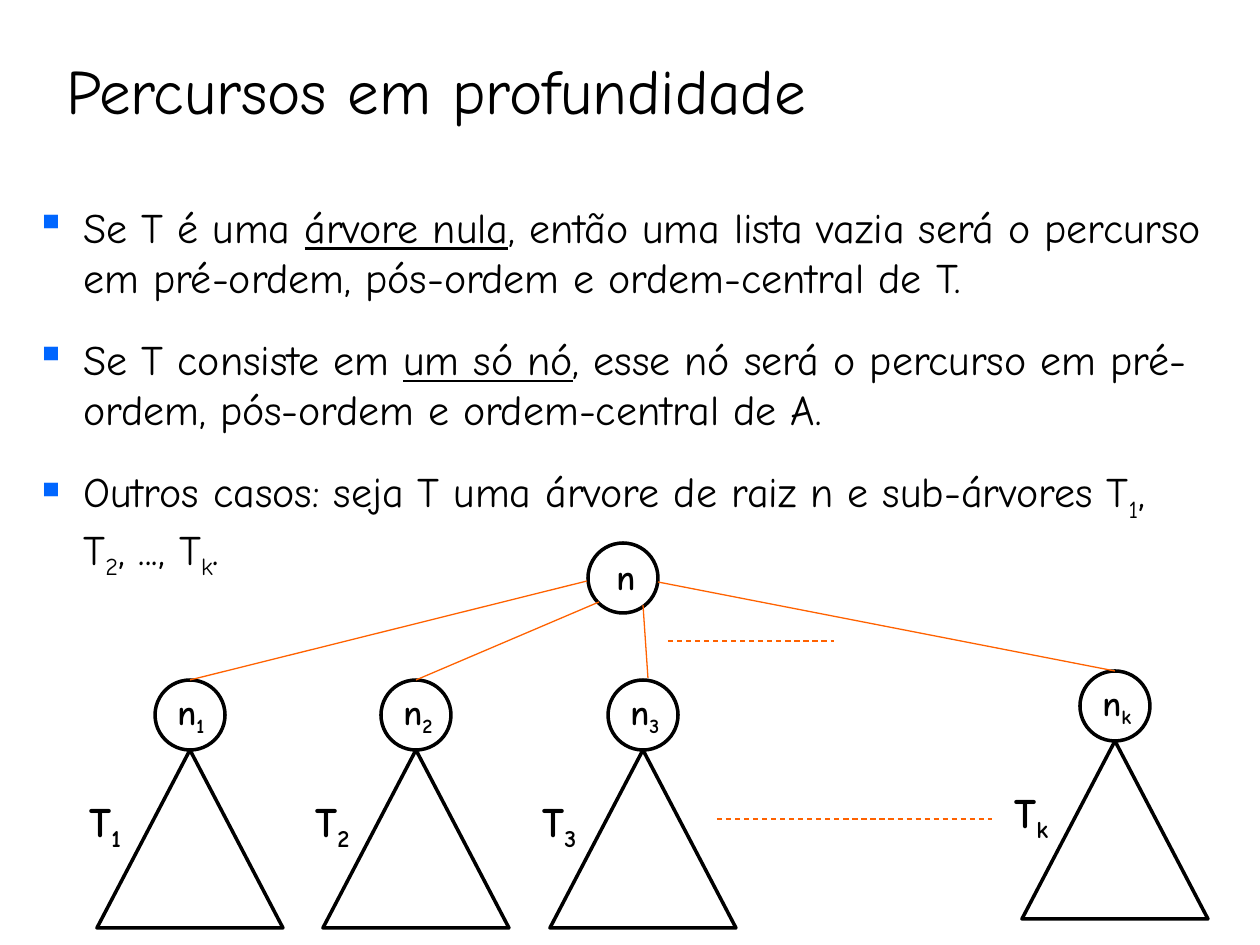
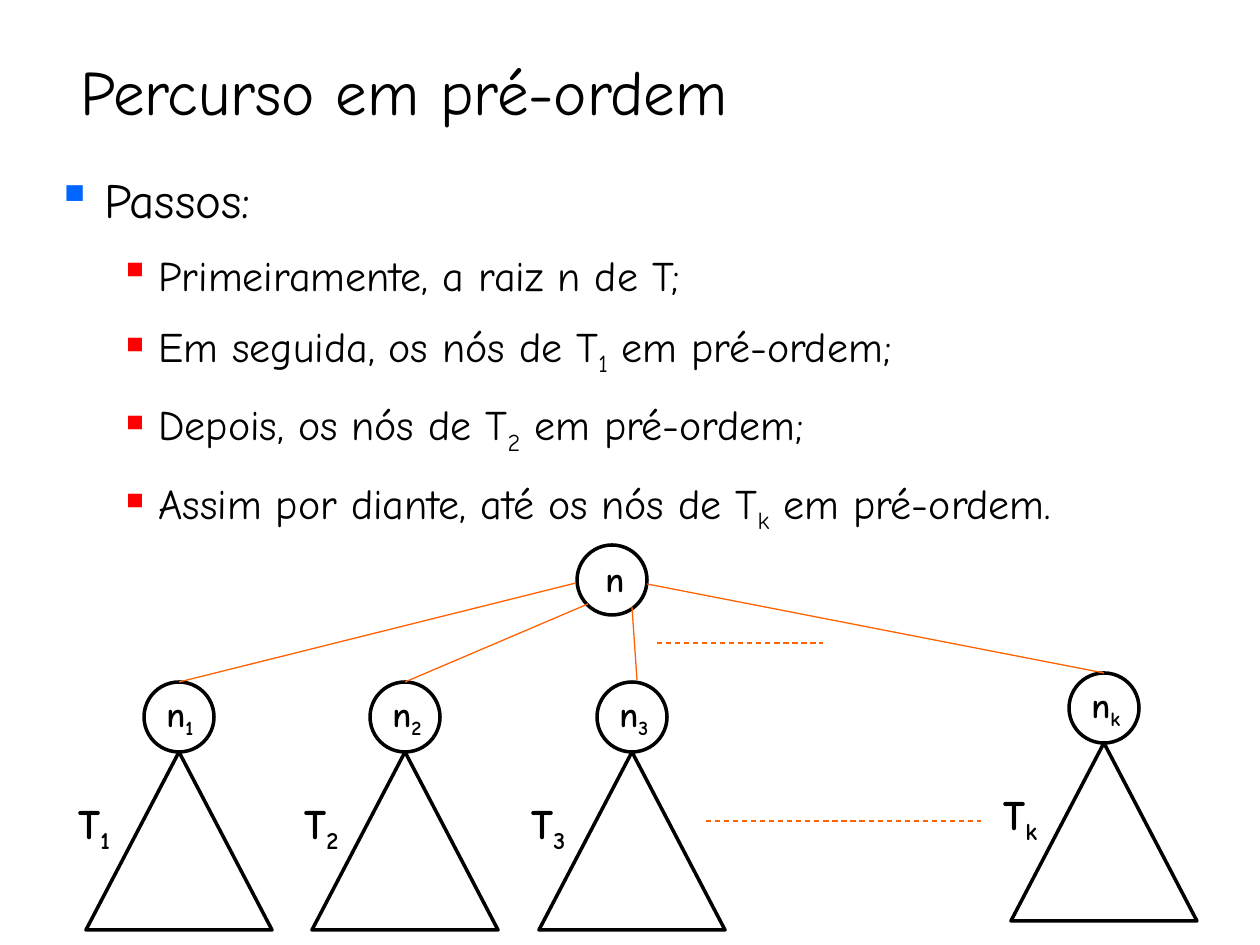
import lxml.etree
import pptx
import pptx.dml.color
import pptx.enum.dml
import pptx.enum.shapes
import pptx.enum.text
import pptx.oxml.ns
import pptx.util

EMU_PER_PX = 914400 / 126
FONT = "Comic Neue"
BLACK = pptx.dml.color.RGBColor(0x00, 0x00, 0x00)
BLUE = pptx.dml.color.RGBColor(0x00, 0x66, 0xFF)
RED = pptx.dml.color.RGBColor(0xFF, 0x00, 0x00)
ORANGE = pptx.dml.color.RGBColor(0xFF, 0x62, 0x00)

TOPIC = {"level": 0, "margin": 48, "hanging": 48, "color": BLUE}
STEP = {"level": 1, "margin": 102, "hanging": 39, "color": RED}

NODE = 70
TRIANGLE_WIDTH, TRIANGLE_HEIGHT = 186, 178
ROOT_LEFT, ROOT_TOP = 588, 543
SUBTREES = [("1", 190, 680), ("2", 416, 680), ("3", 643, 680), ("k", 1115, 671)]
ROOT_EXITS = {"1": (587, 581), "2": (599, 602), "3": (643, 605), "k": (658, 582)}
ELLIPSES = [(668, 834, 641), (717, 992, 819)]


def px(length):
    """Turn pixels into EMU."""
    return pptx.util.Emu(round(length * EMU_PER_PX))


def set_values(target, values):
    """Set each named attribute of the target."""
    for name, value in values.items():
        setattr(target, name, value)


def place(shape, left, top, width, height):
    """Move and size a shape."""
    set_values(shape, {"left": px(left), "top": px(top),
                       "width": px(width), "height": px(height)})


def add_runs(paragraph, parts, size, bold=False):
    """Write plain strings and (text, style) pairs as runs."""
    for part in parts:
        text, style = (part, None) if isinstance(part, str) else part
        run = paragraph.add_run()
        run.text = text
        set_values(run.font, {"name": FONT, "size": pptx.util.Pt(size), "bold": bold})
        run.font.color.rgb = BLACK
        if style == "underline":
            run.font.underline = True
        elif style == "subscript":
            run.font._element.set("baseline", "-25000")


def add_bullet(paragraph, level, margin, hanging, color):
    """Give a paragraph a square bullet with a hanging indent."""
    paragraph.level = level
    properties = paragraph._p.get_or_add_pPr()
    properties.set("marL", str(px(margin)))
    properties.set("indent", str(-px(hanging)))
    qn = pptx.oxml.ns.qn
    bullet_color = lxml.etree.SubElement(properties, qn("a:buClr"))
    lxml.etree.SubElement(bullet_color, qn("a:srgbClr")).set("val", str(color))
    lxml.etree.SubElement(properties, qn("a:buChar")).set("char", "▪")


def add_title(slide, text, left, top):
    """Place and format the title."""
    title = slide.shapes.title
    place(title, left, top, 1105, 84)
    set_values(title.text_frame, {
        "word_wrap": True,
        "auto_size": pptx.enum.text.MSO_AUTO_SIZE.NONE,
        "vertical_anchor": pptx.enum.text.MSO_ANCHOR.BOTTOM,
    })
    paragraph = title.text_frame.paragraphs[0]
    paragraph.alignment = pptx.enum.text.PP_ALIGN.LEFT
    add_runs(paragraph, [text], 36)


def add_bullet_list(slide, box, items, spacing):
    """Add a text box of (bullet, size, parts) items."""
    frame = slide.shapes.add_textbox(*map(px, box)).text_frame
    frame.word_wrap = True
    for index, (bullet, size, parts) in enumerate(items):
        paragraph = frame.add_paragraph() if index else frame.paragraphs[0]
        paragraph.space_before = pptx.util.Pt(spacing if index else 0)
        paragraph.space_after = pptx.util.Pt(spacing)
        add_bullet(paragraph, **bullet)
        add_runs(paragraph, parts, size)


def add_outline(shapes, kind, left, top, width, height):
    """Add an unfilled black outline."""
    shape = shapes.add_shape(kind, *map(px, (left, top, width, height)))
    shape.shadow.inherit = False
    shape.fill.background()
    shape.line.color.rgb = BLACK
    shape.line.width = pptx.util.Pt(2)
    return shape


def add_node(shapes, left, top):
    """Add a tree node circle."""
    return add_outline(shapes, pptx.enum.shapes.MSO_SHAPE.OVAL, left, top, NODE, NODE)


def add_label(shapes, left, top, height, size, parts):
    """Add a bold label."""
    box = shapes.add_textbox(*map(px, (left, top, 78, height)))
    set_values(box.text_frame, {
        "word_wrap": True,
        "auto_size": pptx.enum.text.MSO_AUTO_SIZE.SHAPE_TO_FIT_TEXT,
    })
    add_runs(box.text_frame.paragraphs[0], parts, size, bold=True)


def add_line(shapes, start, end, dashed=False):
    """Add a thin orange line."""
    line = shapes.add_connector(pptx.enum.shapes.MSO_CONNECTOR.STRAIGHT,
                                *map(px, (*start, *end)))
    line.line.color.rgb = ORANGE
    line.line.width = pptx.util.Pt(0.75)
    if dashed:
        line.line.dash_style = pptx.enum.dml.MSO_LINE.DASH
    lxml.etree.SubElement(line._element.spPr, pptx.oxml.ns.qn("a:effectLst"))
    return line


def add_subtree(shapes, name, center, top):
    """Add a subtree triangle with its root node and labels."""
    add_outline(shapes, pptx.enum.shapes.MSO_SHAPE.ISOSCELES_TRIANGLE,
                center - TRIANGLE_WIDTH // 2, top + NODE, TRIANGLE_WIDTH, TRIANGLE_HEIGHT)
    node = add_node(shapes, center - NODE // 2, top)
    subscript = (name, "subscript")
    add_label(shapes, center - 25, top + 4, 60, 20, ["n", subscript])
    add_label(shapes, center - 113, top + 109, 71, 24, ["T", subscript])
    return node


def add_tree(slide, dx=0, dy=0):
    """Draw the general tree, shifted by dx and dy."""
    shapes = slide.shapes.add_group_shape().shapes
    nodes = {name: add_subtree(shapes, name, center + dx, top + dy)
             for name, center, top in SUBTREES}
    add_node(shapes, ROOT_LEFT + dx, ROOT_TOP + dy)
    add_label(shapes, ROOT_LEFT + 16 + dx, ROOT_TOP + 6 + dy, 55, 20, ["n"])
    for name, center, top in SUBTREES:
        x, y = ROOT_EXITS[name]
        start = (x + dx, y + dy)
        if name == "3":
            add_line(shapes, start, (center + 5 + dx, top - 2 + dy))
        else:
            add_line(shapes, start, (center + dx, top + dy)).end_connect(nodes[name], 0)
    for left, right, y in ELLIPSES:
        add_line(shapes, (left + dx, y + dy), (right + dx, y + dy), dashed=True)


def add_slide(presentation):
    """Add a title-only slide."""
    return presentation.slides.add_slide(presentation.slide_layouts[5])


def build_depth_first(presentation):
    """Build the slide that defines depth-first traversals."""
    slide = add_slide(presentation)
    add_title(slide, "Percursos em profundidade", 54, 49)
    add_bullet_list(slide, (23, 195, 1205, 394), [
        (TOPIC, 24, ["Se T é uma ", ("árvore nula", "underline"),
                     ", então uma lista vazia será o percurso em pré-ordem, "
                     "pós-ordem e ordem-central de T."]),
        (TOPIC, 24, ["Se T consiste em ", ("um só nó", "underline"),
                     ", esse nó será o percurso em pré-ordem, "
                     "pós-ordem e ordem-central de A."]),
        (TOPIC, 24, ["Outros casos: seja T uma árvore de raiz n e sub-árvores T",
                     ("1", "subscript"), ", T", ("2", "subscript"),
                     ", ..., T", ("k", "subscript"), "."]),
    ], spacing=9)
    add_tree(slide)


def build_preorder(presentation):
    """Build the slide with the steps of the pre-order traversal."""
    slide = add_slide(presentation)
    add_title(slide, "Percurso em pré-ordem", 68, 50)
    visits = [("Em seguida, os nós de T", "1", ";"),
              ("Depois, os nós de T", "2", ";"),
              ("Assim por diante, até os nós de T", "k", ".")]
    add_bullet_list(slide, (44, 163, 1147, 381), [
        (TOPIC, 28, ["Passos:"]),
        (STEP, 24, ["Primeiramente, a raiz n de T;"]),
        *[(STEP, 24, [text, (name, "subscript"), " em pré-ordem" + mark])
          for text, name, mark in visits],
    ], spacing=6)
    add_tree(slide, -11, 2)


def main():
    """Build and save the presentation."""
    presentation = pptx.Presentation()
    set_values(presentation, {"slide_width": px(1260), "slide_height": px(945)})
    build_depth_first(presentation)
    build_preorder(presentation)
    presentation.save("out.pptx")


if __name__ == "__main__":
    main()
